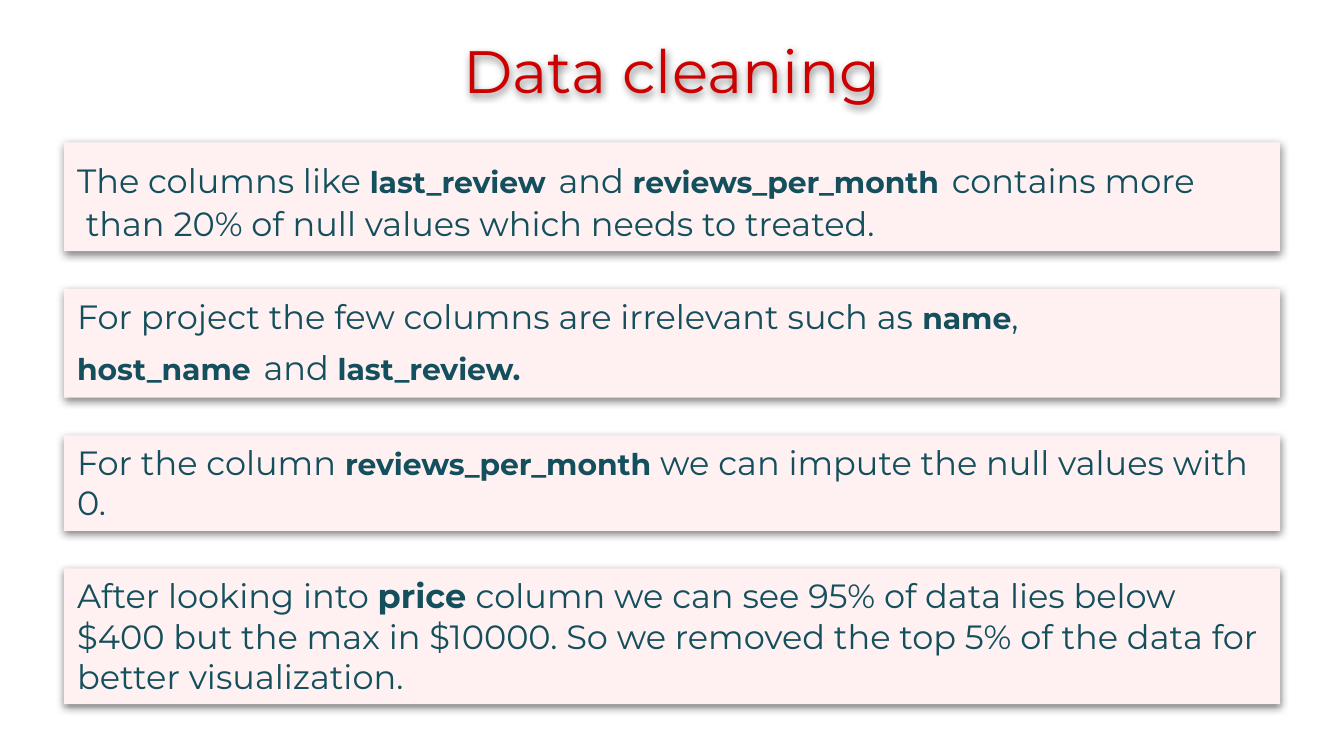
from dataclasses import dataclass

from lxml import etree
from pptx import Presentation
from pptx.dml.color import RGBColor
from pptx.enum import shapes, text
from pptx.oxml import ns
from pptx.util import Inches, Pt


@dataclass(frozen=True)
class Theme:
    font: str = "Montserrat"
    title: RGBColor = RGBColor(0xCC, 0x00, 0x00)
    ink: RGBColor = RGBColor(0x13, 0x4F, 0x5C)
    panel: RGBColor = RGBColor(0xFF, 0xF1, 0xF1)
    title_size: int = 32
    body_size: int = 18
    code_size: int = 16
    gap_size: int = 24


THEME = Theme()
SLIDE_W = 10
SLIDE_H = SLIDE_W * 9 / 16
TOP, WIDTH, GAP = 1.06, 9.05, 0.28
LEFT = (SLIDE_W - WIDTH) / 2
NBSP = chr(160)

BODY = {"size": THEME.body_size}
STRONG = {"size": THEME.body_size, "bold": True}
CODE = {"size": THEME.code_size, "bold": True}
SPACER = {"size": THEME.gap_size, "bold": True}

# Each panel: height, then paragraphs made of (text, format) pieces.
# A tilde stands for a non-breaking space.
PANELS = [
    (0.81, [
        [("The columns like~", BODY), ("last_review", CODE), ("~", SPACER),
         ("and~", BODY), ("reviews_per_month", CODE), ("~", SPACER),
         ("contains more", BODY)],
        [(" than 20% of null values which needs to treated.", BODY)],
    ]),
    (0.81, [
        [("For project the few columns are irrelevant such as~", BODY),
         ("name", CODE), (", ", BODY), ("host_name", CODE), ("~", SPACER),
         ("and~", BODY), ("last_review.", CODE)],
    ]),
    (0.71, [
        [("For the column~", BODY), ("reviews_per_month", CODE),
         ("~we can impute the null values with 0.", BODY)],
    ]),
    (1.01, [
        [("After looking into ", BODY), ("price ", STRONG),
         ("column we can see 95% of data lies below $400 but the max in "
          "$10000. So we removed the top 5% of the data for better "
          "visualization.", BODY)],
    ]),
]


def add_text(p, content, size, color=THEME.ink, bold=False):
    r = p.add_run()
    r.text = content.replace("~", NBSP)
    r.font.name = THEME.font
    r.font.size = Pt(size)
    r.font.bold = bold
    r.font.color.rgb = color


def add_shadow(sp, blur=4.5, distance=1.5, angle=90, opacity=50):
    """Give a shape a soft black outer shadow; lengths are in points."""
    sp.shadow.inherit = False
    effects = sp._element.spPr.find(ns.qn("a:effectLst"))
    shadow = etree.SubElement(
        effects, ns.qn("a:outerShdw"), blurRad=str(Pt(blur)),
        dist=str(Pt(distance)), dir=str(angle * 60000),
        algn="bl", rotWithShape="0")
    color = etree.SubElement(shadow, ns.qn("a:srgbClr"), val="000000")
    etree.SubElement(color, ns.qn("a:alpha"), val=str(opacity * 1000))


def set_frame(tf, inset_y, auto_size):
    tf.word_wrap = True
    tf.auto_size = auto_size
    tf.vertical_anchor = text.MSO_ANCHOR.TOP
    tf.margin_left = tf.margin_right = Inches(0.1)
    tf.margin_top = tf.margin_bottom = Inches(inset_y)


def add_title(s, content):
    sp = s.shapes.title
    sp.left, sp.top = Inches(0.34), Inches(0.15)
    sp.width, sp.height = Inches(9.32), Inches(0.63)
    add_shadow(sp)
    set_frame(sp.text_frame, 0.1, text.MSO_AUTO_SIZE.NONE)
    p = sp.text_frame.paragraphs[0]
    p.alignment = text.PP_ALIGN.CENTER
    add_text(p, content, THEME.title_size, color=THEME.title)


def add_panel(s, top, height, paragraphs):
    sp = s.shapes.add_shape(shapes.MSO_SHAPE.RECTANGLE, Inches(LEFT),
                            Inches(top), Inches(WIDTH), Inches(height))
    sp.fill.solid()
    sp.fill.fore_color.rgb = THEME.panel
    sp.line.fill.background()
    add_shadow(sp)
    tf = sp.text_frame
    set_frame(tf, 0.05, text.MSO_AUTO_SIZE.SHAPE_TO_FIT_TEXT)
    for i, pieces in enumerate(paragraphs):
        p = tf.add_paragraph() if i else tf.paragraphs[0]
        p.alignment = text.PP_ALIGN.LEFT
        for content, style in pieces:
            add_text(p, content, **style)


def main():
    prs = Presentation()
    prs.slide_width, prs.slide_height = Inches(SLIDE_W), Inches(SLIDE_H)
    s = prs.slides.add_slide(prs.slide_layouts.get_by_name("Title Only"))
    add_title(s, "Data cleaning")
    top = TOP
    for height, paragraphs in PANELS:
        add_panel(s, top, height, paragraphs)
        top += height + GAP
    prs.save("out.pptx")


if __name__ == "__main__":
    main()
